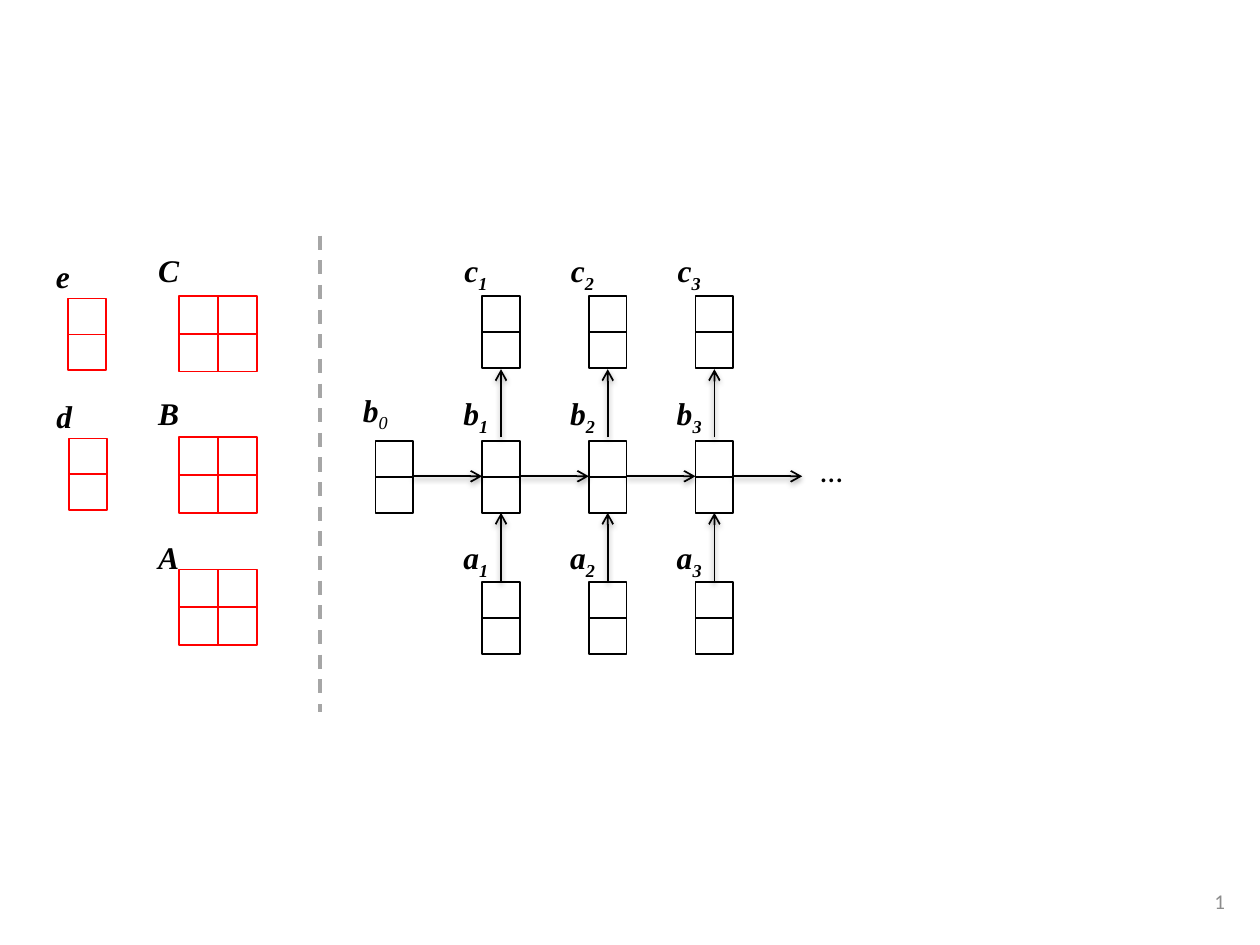
"""Draw a recurrent network unrolled over three steps beside its parameters."""
from lxml import etree
from pptx import Presentation
from pptx.dml.color import RGBColor
from pptx.enum import dml, shapes, text
from pptx.oxml import ns
from pptx.util import Inches, Pt

RED = RGBColor(255, 0, 0)
BLACK = RGBColor(0, 0, 0)
GRAY = RGBColor(0xA6, 0xA6, 0xA6)
DIM = RGBColor(0x8C, 0x8C, 0x8C)
SERIF, SANS = "Times New Roman", "Calibri"

MATS = [("C", 1.87, 2.35), ("B", 3.01, 3.47), ("A", 4.15, 4.52)]
BIAS = [("e", 0.27, 1.92, 0.54, 2.37), ("d", 0.28, 3.03, 0.55, 3.48)]
ROWS = [("c", 1.89, 2.35), ("b", 3.03, 3.5), ("a", 4.17, 4.62)]
RISES = [(4.62, 4.07), (3.47, 2.93)]
STEPS = 3
LEFT, LAST = 2.98, 5.52
GAP = (LAST - LEFT) / STEPS
WIDE, TALL = 0.3, 0.285
FLOW = 3.78

deck = Presentation()
deck.slide_width, deck.slide_height = Inches(10), Inches(7.5)
page = deck.slides.add_slide(deck.slide_layouts[6])


def grid(x, y, cols, wide, tall, color):
    for col in range(cols):
        for row in range(2):
            cell = page.shapes.add_shape(
                shapes.MSO_SHAPE.RECTANGLE, Inches(x + col * wide),
                Inches(y + row * tall), Inches(wide), Inches(tall))
            cell.shadow.inherit = False
            cell.fill.background()
            cell.line.color.rgb = color
            cell.line.width = Pt(1)


def write(x, y, wide, tall, words, font=SANS, size=18, color=BLACK,
          align=text.PP_ALIGN.CENTER):
    frame = page.shapes.add_textbox(
        Inches(x), Inches(y), Inches(wide), Inches(tall)).text_frame
    frame.word_wrap = True
    frame.vertical_anchor = text.MSO_ANCHOR.MIDDLE
    para = frame.paragraphs[0]
    para.alignment = align
    for word in words:
        run = para.add_run()
        run.text = word
        run.font.name, run.font.size = font, Pt(size)
        run.font.color.rgb = color
    return frame


def label(x, y, name, sub="", bold=True):
    frame = write(x, y, 0.46, 0.54, [name, sub] if sub else [name], SERIF)
    frame.margin_left = frame.margin_right = 0
    runs = frame.paragraphs[0].runs
    for run in runs:
        run.font.bold = run.font.italic = True
    if sub:
        runs[1].font.bold = bold
        runs[1].font._element.set("baseline", "-25000")


def join(x1, y1, x2, y2, color, width):
    line = page.shapes.add_connector(
        shapes.MSO_CONNECTOR.STRAIGHT,
        Inches(x1), Inches(y1), Inches(x2), Inches(y2))
    line.line.color.rgb = color
    line.line.width = Pt(width)
    return line, etree.SubElement(line._element.spPr, ns.qn("a:effectLst"))


def arrow(x1, y1, x2, y2):
    line, effect = join(x1, y1, x2, y2, BLACK, 1)
    etree.SubElement(line.line._get_or_add_ln(), ns.qn("a:tailEnd"), type="arrow")
    cast = etree.SubElement(effect, ns.qn("a:outerShdw"), blurRad="40000",
                            dist="20000", dir="5400000", rotWithShape="0")
    tint = etree.SubElement(cast, ns.qn("a:srgbClr"), val="000000")
    etree.SubElement(tint, ns.qn("a:alpha"), val="38000")


for name, top, y in MATS:
    grid(1.42, y, 2, 0.31, 0.3, RED)
    label(1.11, top, name)
for name, side, top, x, y in BIAS:
    grid(x, y, 1, WIDE, TALL, RED)
    label(side, top, name)

rule, _ = join(2.54, 1.87, 2.54, 5.65, GRAY, 2)
rule.line.dash_style = dml.MSO_LINE.DASH

grid(LEFT, 3.5, 1, WIDE, TALL, BLACK)
label(2.75, 3, "b", "0", False)
for step in range(1, STEPS + 1):
    x = LEFT + step * GAP
    for name, top, y in ROWS:
        grid(x, y, 1, WIDE, TALL, BLACK)
        label(x - 0.28, top, name, str(step))
    for low, high in RISES:
        arrow(x + WIDE / 2, low, x + WIDE / 2, high)
for step in range(STEPS + 1):
    x = LEFT + step * GAP
    arrow(x + WIDE, FLOW, x + GAP, FLOW)

write(6.18, 3.43, 0.84, 0.6, ["…"])
write(8.87, 6.95, 0.95, 0.4, ["1"], size=12, color=DIM,
      align=text.PP_ALIGN.RIGHT)
deck.save("out.pptx")
